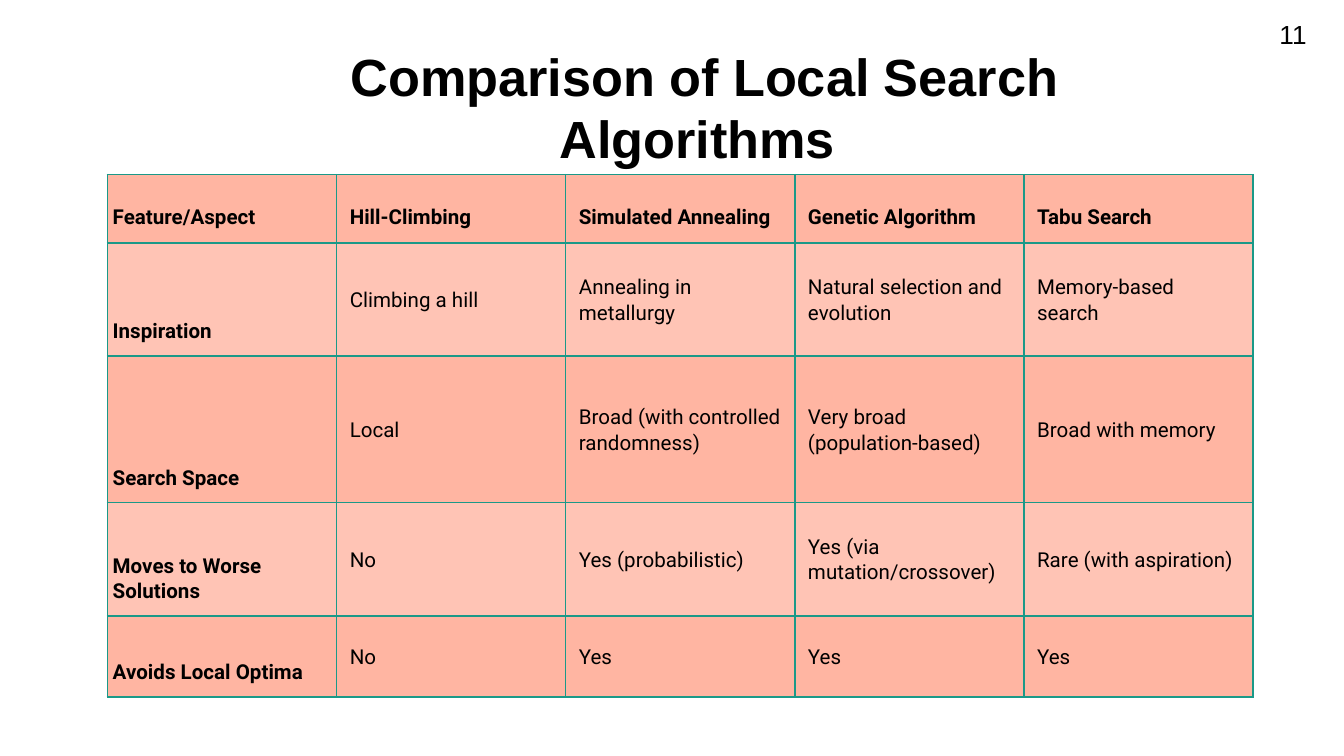
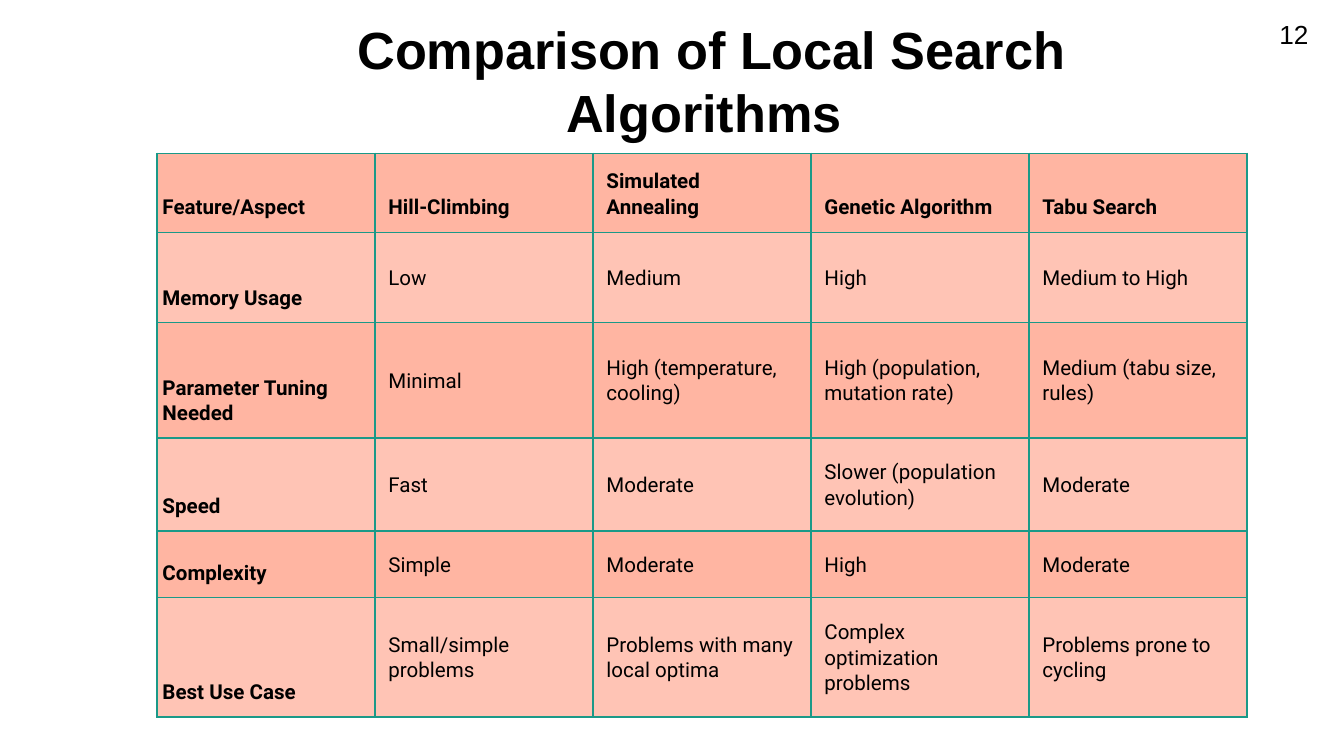
from dataclasses import dataclass

from lxml.etree import SubElement
from pptx import Presentation
from pptx.dml.color import RGBColor
from pptx.enum.text import MSO_ANCHOR, MSO_AUTO_SIZE, PP_ALIGN
from pptx.oxml.ns import qn
from pptx.presentation import Presentation as Deck
from pptx.slide import Slide
from pptx.table import _Cell
from pptx.text.text import TextFrame
from pptx.util import Cm, Pt

# Shared look
BLACK = RGBColor(0x00, 0x00, 0x00)
WHITE = RGBColor(0xFF, 0xFF, 0xFF)
TEAL = RGBColor(0x1A, 0x99, 0x88)
SALMON = RGBColor(0xFF, 0xB5, 0xA2)
PALE_SALMON = RGBColor(0xFF, 0xC4, 0xB5)
TITLE_FONT = "Arial"
TABLE_FONT = "Roboto"
TITLE_ONLY_LAYOUT = 5
TITLE = " Comparison of Local Search Algorithms"
ALGORITHMS = ("Feature/Aspect", "Hill-Climbing", "Simulated Annealing",
              "Genetic Algorithm", "Tabu Search")


@dataclass(frozen=True)
class Aspect:
    """One table row: its height in centimetres and its cell texts."""
    height: float
    texts: tuple[str, ...]


@dataclass(frozen=True)
class Comparison:
    """One slide; lengths are in centimetres."""
    number: int
    title_left: float
    title_top: float
    table_left: float
    table_top: float
    column_width: float
    aspects: tuple[Aspect, ...]


COMPARISONS = (
    Comparison(11, 3.5, 0.58, 2.03, 3.3, 4.33, (
        Aspect(1.29, ALGORITHMS),
        Aspect(2.14, ("Inspiration", "Climbing a hill", "Annealing in metallurgy",
                      "Natural selection and evolution", "Memory-based search")),
        Aspect(2.77, ("Search Space", "Local", "Broad (with controlled randomness)",
                      "Very broad (population-based)", "Broad with memory")),
        Aspect(2.14, ("Moves to Worse Solutions", "No", "Yes (probabilistic)",
                      "Yes (via mutation/crossover)", "Rare (with aspiration)")),
        Aspect(1.53, ("Avoids Local Optima", "No", "Yes", "Yes", "Yes")),
    )),
    Comparison(12, 3.63, 0.08, 2.97, 2.9, 4.12, (
        Aspect(1.48, ALGORITHMS),
        Aspect(1.7, ("Memory Usage", "Low", "Medium", "High", "Medium to High")),
        Aspect(2.18, ("Parameter Tuning Needed", "Minimal", "High (temperature, cooling)",
                      "High (population, mutation rate)", "Medium (tabu size, rules)")),
        Aspect(1.7, ("Speed", "Fast", "Moderate", "Slower (population evolution)",
                     "Moderate")),
        Aspect(1.2, ("Complexity", "Simple", "Moderate", "High", "Moderate")),
        Aspect(2.01, ("Best Use Case", "Small/simple problems",
                      "Problems with many local optima",
                      "Complex optimization problems", "Problems prone to cycling")),
    )),
)


def write_text(frame: TextFrame, text: str, *, font: str, size: float,
               bold: bool = False, align: PP_ALIGN = PP_ALIGN.LEFT,
               line_spacing: float = 1.0, space_after: float = 0) -> None:
    paragraph = frame.paragraphs[0]
    paragraph.alignment = align
    paragraph.line_spacing = line_spacing
    paragraph.space_before = Pt(0)
    paragraph.space_after = Pt(space_after)
    run = paragraph.add_run()
    run.text = text
    run.font.name = font
    run.font.size = Pt(size)
    run.font.bold = bold
    run.font.color.rgb = BLACK


def draw_borders(cell: _Cell) -> None:
    properties = cell._tc.get_or_add_tcPr()
    for side in ("a:lnL", "a:lnR", "a:lnT", "a:lnB"):
        line = SubElement(properties, qn(side), w=str(Pt(1)))
        fill = SubElement(line, qn("a:solidFill"))
        SubElement(fill, qn("a:srgbClr"), val=str(TEAL))


def format_cell(cell: _Cell, text: str, row: int, column: int) -> None:
    is_heading = row == 0 or column == 0
    side_margin = Cm(0.1 if column == 0 else 0.25)
    if row == 0:
        end_margin = Cm(0.25)
    else:
        end_margin = Cm(0.23 if column == 0 else 0.38)
    cell.margin_left = cell.margin_right = side_margin
    cell.margin_top = cell.margin_bottom = end_margin
    cell.vertical_anchor = MSO_ANCHOR.BOTTOM if is_heading else MSO_ANCHOR.MIDDLE
    draw_borders(cell)
    cell.fill.solid()
    cell.fill.fore_color.rgb = PALE_SALMON if row % 2 else SALMON
    write_text(cell.text_frame, text, font=TABLE_FONT, size=11, bold=is_heading,
               line_spacing=1.07, space_after=8)


def add_title(slide: Slide, comparison: Comparison) -> None:
    title = slide.shapes.title
    title.left, title.top = Cm(comparison.title_left), Cm(comparison.title_top)
    title.width, title.height = Cm(19.35), Cm(2.39)
    frame = title.text_frame
    frame.auto_size = MSO_AUTO_SIZE.NONE
    frame.word_wrap = True
    frame.vertical_anchor = MSO_ANCHOR.TOP
    frame.margin_top = Cm(0.25)
    write_text(frame, TITLE, font=TITLE_FONT, size=28, bold=True, align=PP_ALIGN.CENTER)


def add_page_number(slide: Slide, number: int) -> None:
    box = slide.shapes.add_textbox(Cm(23.93), Cm(0.23), Cm(1.07), Cm(0.86))
    box.text_frame.word_wrap = False
    box.text_frame.auto_size = MSO_AUTO_SIZE.SHAPE_TO_FIT_TEXT
    write_text(box.text_frame, str(number), font=TITLE_FONT, size=14)


def add_comparison_table(slide: Slide, comparison: Comparison) -> None:
    aspects = comparison.aspects
    table = slide.shapes.add_table(
        len(aspects), len(ALGORITHMS),
        Cm(comparison.table_left), Cm(comparison.table_top),
        Cm(comparison.column_width * len(ALGORITHMS)),
        Cm(sum(aspect.height for aspect in aspects))).table
    table.first_row = False
    table.horz_banding = False
    for column in table.columns:
        column.width = Cm(comparison.column_width)
    for row, aspect in enumerate(aspects):
        table.rows[row].height = Cm(aspect.height)
        for column, text in enumerate(aspect.texts):
            format_cell(table.cell(row, column), text, row, column)


def add_comparison_slide(presentation: Deck, comparison: Comparison) -> None:
    slide = presentation.slides.add_slide(presentation.slide_layouts[TITLE_ONLY_LAYOUT])
    slide.background.fill.solid()
    slide.background.fill.fore_color.rgb = WHITE
    add_title(slide, comparison)
    add_page_number(slide, comparison.number)
    add_comparison_table(slide, comparison)


def main() -> None:
    presentation = Presentation()
    presentation.slide_width, presentation.slide_height = Cm(25.4), Cm(14.29)
    for comparison in COMPARISONS:
        add_comparison_slide(presentation, comparison)
    presentation.save("out.pptx")


if __name__ == "__main__":
    main()
